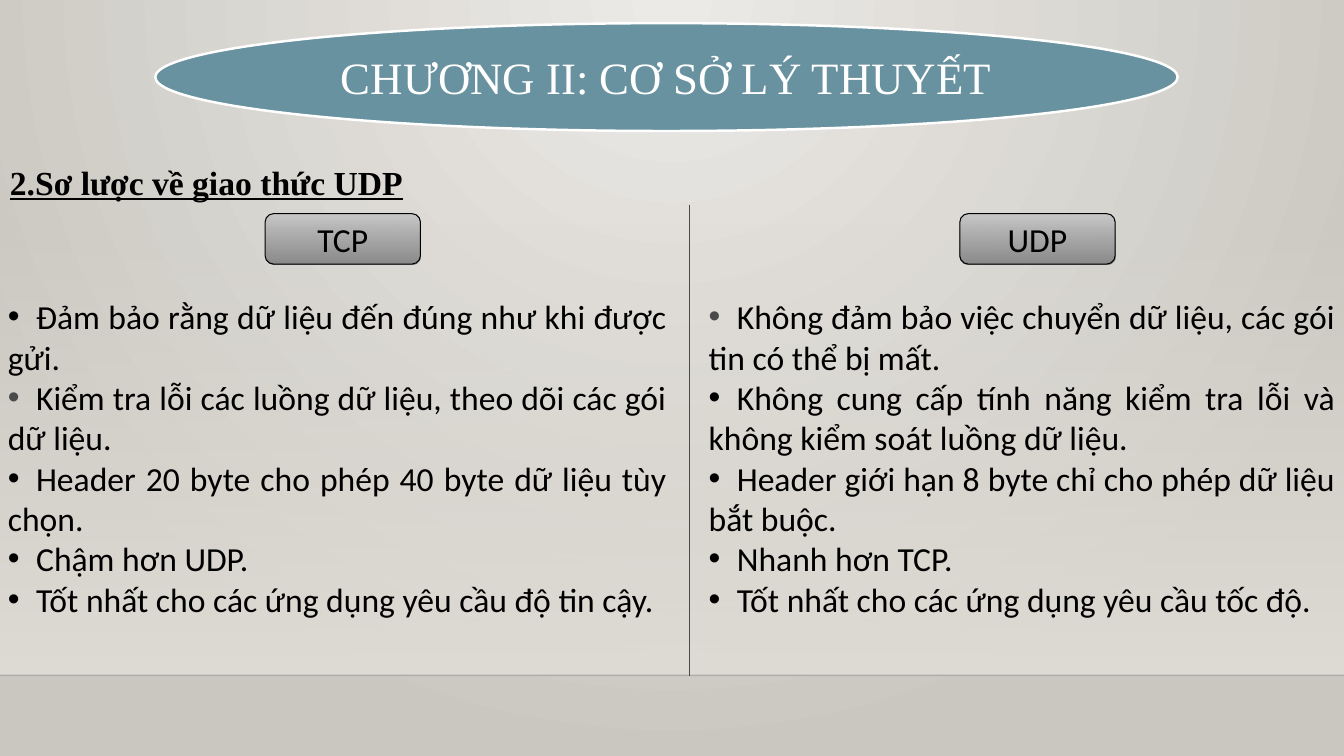
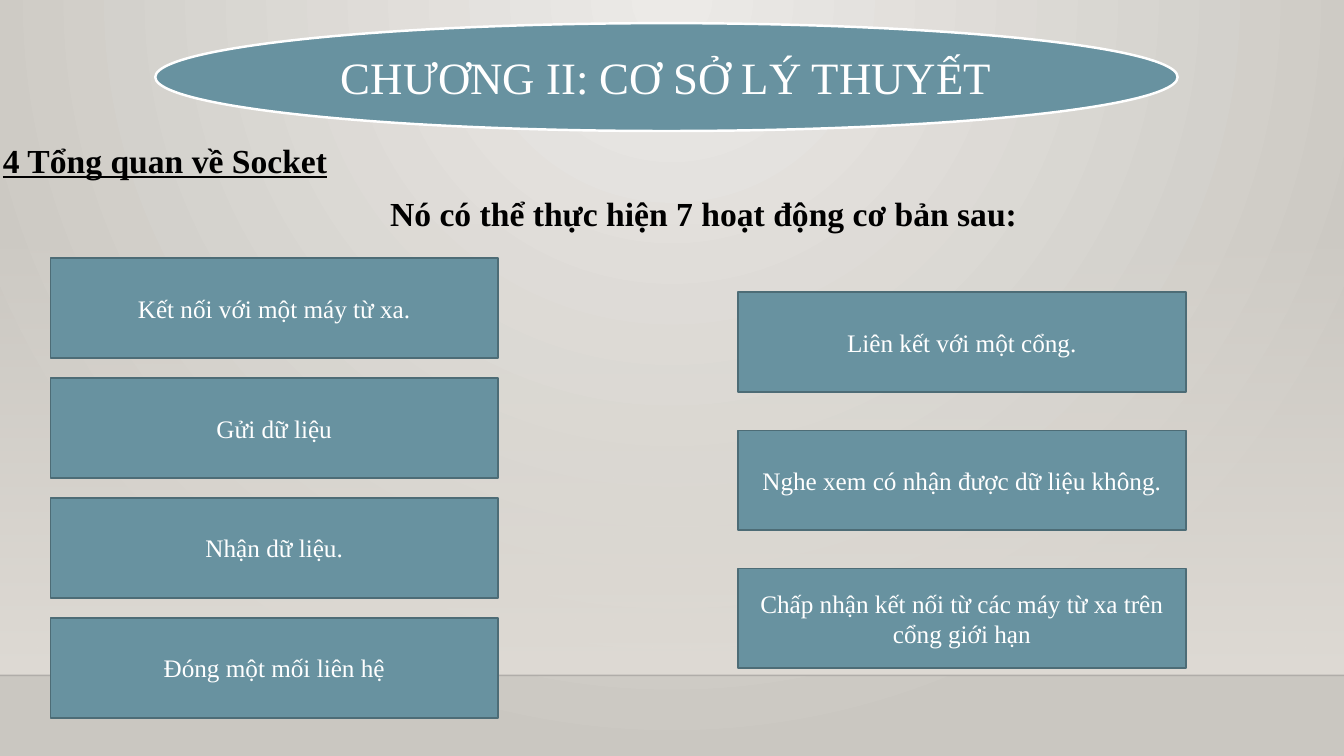
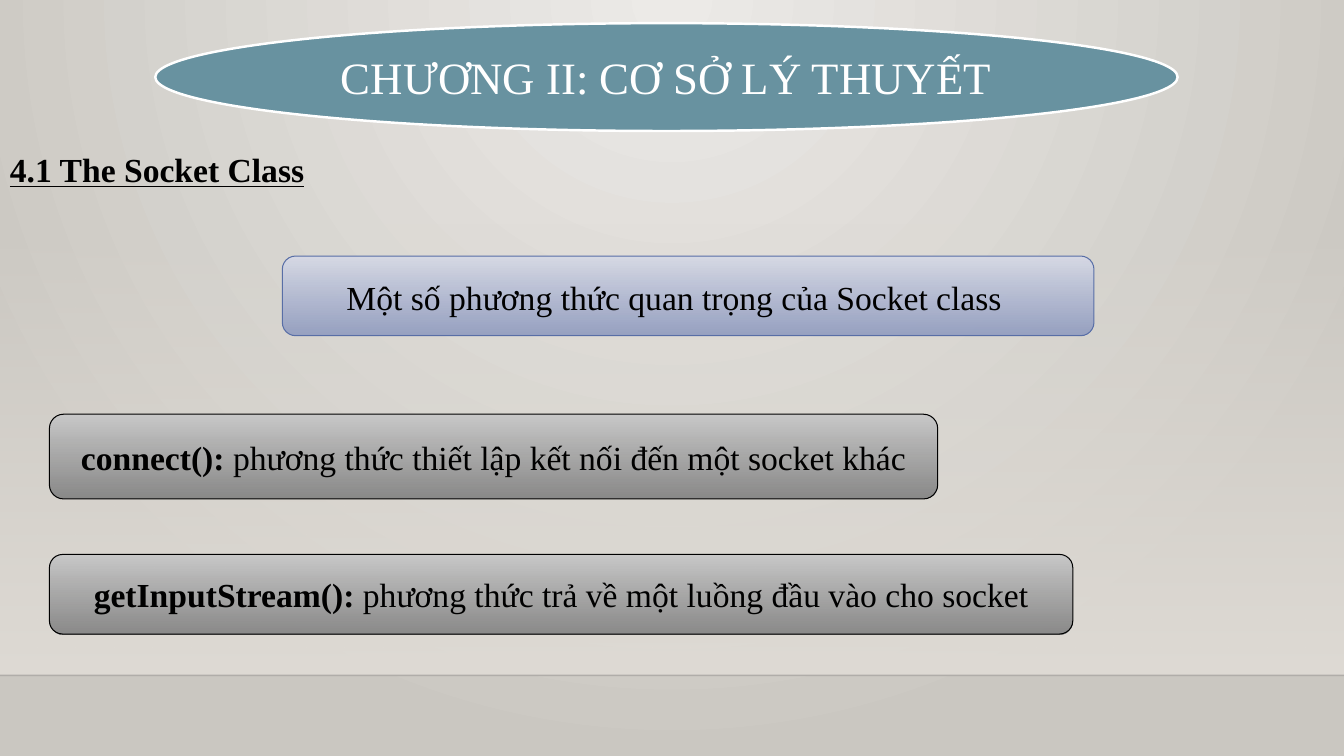
from dataclasses import dataclass

from lxml.etree import SubElement
from pptx import Presentation
from pptx.dml.color import RGBColor
from pptx.enum.shapes import MSO_CONNECTOR, MSO_SHAPE
from pptx.enum.text import MSO_ANCHOR, MSO_AUTO_SIZE, PP_ALIGN
from pptx.oxml.ns import qn
from pptx.util import Inches, Pt


@dataclass(frozen=True)
class Theme:
    serif: str = "Times New Roman"
    sans: str = "Calibri"
    title_size: int = 32
    body_size: int = 24
    box_size: int = 18
    white: str = "FFFFFF"
    black: str = "000000"
    gray: str = "4A4A4A"
    teal: str = "6892A0"
    teal_dark: str = "4D6C76"
    blue_line: str = "586EA6"
    floor_line: str = "000001"
    background: tuple = ("ECEAE7", "CAC7C1")
    haze: tuple = ("DFDBD5", "DFDBD5")
    silver: tuple = ("C8C8C8", "848484")
    blue: tuple = ("D6D9E5", "929DC0")


T = Theme()
WIDTH, HEIGHT = 13.33, 7.5
FLOOR = 6.7

TCP_POINTS = [
    ("Đảm bảo rằng dữ liệu đến đúng như khi được gửi.", T.black),
    ("Kiểm tra lỗi các luồng dữ liệu, theo dõi các gói dữ liệu.", T.gray),
    ("Header 20 byte cho phép 40 byte dữ liệu tùy chọn.", T.black),
    ("Chậm hơn UDP.", T.black),
    ("Tốt nhất cho các ứng dụng yêu cầu độ tin cậy.", T.black),
]
UDP_POINTS = [
    ("Không đảm bảo việc chuyển dữ liệu, các gói tin có thể bị mất.", T.gray),
    ("Không cung cấp tính năng kiểm tra lỗi và không kiểm soát luồng dữ liệu.", T.black),
    ("Header giới hạn 8 byte chỉ cho phép dữ liệu bắt buộc.", T.black),
    ("Nhanh hơn TCP.", T.black),
    ("Tốt nhất cho các ứng dụng yêu cầu tốc độ.", T.black),
]
LEFT_ACTIONS = ["Kết nối với một máy từ xa.", "Gửi dữ liệu", "Nhận dữ liệu.",
                "Đóng một mối liên hệ"]
RIGHT_ACTIONS = ["Liên kết với một cổng.", "Nghe xem có nhận được dữ liệu không.",
                 "Chấp nhận kết nối từ các máy từ xa trên cổng giới hạn"]


# Fills and lines
def rgb(color):
    return RGBColor.from_string(color)


def set_alpha(element, percent):
    SubElement(element, qn("a:alpha"), val=str(percent * 1000))


def set_gradient(fill, colors):
    fill.gradient()
    for stop, color, position in zip(fill.gradient_stops, colors, (0, 1)):
        stop.color.rgb = rgb(color)
        stop.position = position


def fade_stop(sp, index, percent):
    stop = list(sp._element.iter(qn("a:gs")))[index]
    set_alpha(stop[0], percent)


def add_line(s, x1, y1, x2, y2, color, width):
    line = s.shapes.add_connector(MSO_CONNECTOR.STRAIGHT, Inches(x1), Inches(y1),
                                  Inches(x2), Inches(y2))
    line.line.color.rgb = rgb(color)
    line.line.width = Pt(width)
    SubElement(line._element.spPr, qn("a:effectLst"))
    return line


def add_box(s, kind, x, y, w, h, fill, line=None, width=0.75):
    """Add a shape; fill is one colour or a pair for a vertical gradient."""
    sp = s.shapes.add_shape(kind, Inches(x), Inches(y), Inches(w), Inches(h))
    sp.shadow.inherit = False
    if isinstance(fill, tuple):
        set_gradient(sp.fill, fill)
        sp.fill.gradient_angle = 270
    else:
        sp.fill.solid()
        sp.fill.fore_color.rgb = rgb(fill)
    if line:
        sp.line.color.rgb = rgb(line)
        sp.line.width = Pt(width)
    else:
        sp.line.fill.background()
    tf = sp.text_frame
    tf.word_wrap = True
    tf.vertical_anchor = MSO_ANCHOR.MIDDLE
    return sp


# Text
def add_run(p, text, size, color=T.black, font=T.serif, bold=False, underline=False):
    r = p.add_run()
    r.text = text
    r.font.name = font
    r.font.size = Pt(size)
    r.font.bold = bold
    r.font.underline = underline
    r.font.color.rgb = rgb(color)


def center_text(sp, text, size, color, font=T.serif):
    p = sp.text_frame.paragraphs[0]
    p.alignment = PP_ALIGN.CENTER
    add_run(p, text, size, color, font)


def set_indent(p, inches):
    p._p.get_or_add_pPr().set("indent", str(Inches(inches)))


def space_out(p):
    p.line_spacing = 1.07
    p.space_before = Pt(12)
    p.space_after = Pt(8)


def add_textbox(s, x, y, w, h):
    tf = s.shapes.add_textbox(Inches(x), Inches(y), Inches(w), Inches(h)).text_frame
    tf.word_wrap = True
    tf.auto_size = MSO_AUTO_SIZE.SHAPE_TO_FIT_TEXT
    return tf


def add_heading(s, text, x, y, w=6.67, underline=True):
    p = add_textbox(s, x, y, w, 0.5).paragraphs[0]
    add_run(p, text, T.body_size, bold=True, underline=underline)
    return p


def add_bullets(s, points, x, y, w, h):
    tf = add_textbox(s, x, y, w, h)
    for i, (text, bullet_color) in enumerate(points):
        p = tf.paragraphs[0] if i == 0 else tf.add_paragraph()
        p.alignment = PP_ALIGN.JUSTIFY
        set_indent(p, 0)
        pPr = p._p.get_or_add_pPr()
        pPr.set("marL", "0")
        SubElement(SubElement(pPr, qn("a:buClr")), qn("a:srgbClr"), val=bullet_color)
        SubElement(pPr, qn("a:buFont"), typeface="Arial")
        SubElement(pPr, qn("a:buChar"), char="•")
        tabs = SubElement(pPr, qn("a:tabLst"))
        SubElement(tabs, qn("a:tab"), pos=str(Inches(0.28)), algn="l")
        add_run(p, "\t" + text, T.body_size, font=T.sans)


# Repeated slide elements
def set_background(master):
    fill = master.background.fill
    set_gradient(fill, T.background)
    grad = master._element.find(".//" + qn("p:bgPr")).find(qn("a:gradFill"))
    grad.remove(grad.find(qn("a:lin")))
    glow = SubElement(grad, qn("a:path"), {"path": "circle"})
    SubElement(glow, qn("a:fillToRect"), l="43000", t="0", r="43000", b="100000")


def new_slide(prs):
    s = prs.slides.add_slide(prs.slide_layouts[6])
    haze = add_box(s, MSO_SHAPE.RECTANGLE, 0, 2.21, WIDTH, FLOOR - 2.21, T.haze)
    fade_stop(haze, 0, 0)
    floor = add_line(s, 0, FLOOR, WIDTH, FLOOR, T.floor_line, 1)
    set_alpha(next(floor._element.spPr.iter(qn("a:srgbClr"))), 20)
    title = add_box(s, MSO_SHAPE.OVAL, 1.54, 0.23, 10.14, 1.07, T.teal, T.white, 1.75)
    center_text(title, "CHƯƠNG II: CƠ SỞ LÝ THUYẾT", T.title_size, T.white)
    return s


def add_pill(s, x, y, w, h, fill=T.silver, line=T.black):
    sp = add_box(s, MSO_SHAPE.FLOWCHART_ALTERNATE_PROCESS, x, y, w, h, fill, line)
    fade_stop(sp, 1, 92)
    return sp


def add_action_column(s, x, top, pitch, actions):
    for i, text in enumerate(actions):
        sp = add_box(s, MSO_SHAPE.RECTANGLE, x, top + i * pitch, 4.44, 0.99,
                     T.teal, T.teal_dark, 1.25)
        center_text(sp, text, T.box_size, T.white)


def add_method(s, y, w, h, name, description):
    p = add_pill(s, 0.49, y, w, h).text_frame.paragraphs[0]
    p.alignment = PP_ALIGN.CENTER
    add_run(p, name + " ", T.body_size, bold=True)
    add_run(p, description, T.body_size)


# Slides
def comparison_slide(prs):
    s = new_slide(prs)
    space_out(add_heading(s, "2.Sơ lược về giao thức UDP", 0, 1.53))
    add_line(s, 6.84, 2.03, 6.84, 6.71, T.gray, 0.75)
    columns = [("TCP", 2.63, TCP_POINTS, -0.02, 6.73),
               ("UDP", 9.52, UDP_POINTS, 6.93, 6.41)]
    for name, pill_x, points, x, w in columns:
        add_bullets(s, points, x, 2.89, w, 3.33)
        center_text(add_pill(s, pill_x, 2.12, 1.54, 0.5), name,
                    T.body_size, T.black, T.sans)


def actions_slide(prs):
    s = new_slide(prs)
    add_heading(s, "4 Tổng quan về Socket", -0.07, 1.34)
    p = add_heading(s, "Nó có thể thực hiện 7 hoạt động cơ bản sau:", 3.27, 1.84,
                    w=7.72, underline=False)
    set_indent(p, 0.5)
    space_out(p)
    add_action_column(s, 0.5, 2.56, 1.19, LEFT_ACTIONS)
    add_action_column(s, 7.32, 2.9, 1.37, RIGHT_ACTIONS)


def methods_slide(prs):
    s = new_slide(prs)
    add_heading(s, "4.1 The Socket Class", 0, 1.43, w=4.71)
    sp = add_pill(s, 2.8, 2.54, 8.05, 0.79, T.blue, T.blue_line)
    p = sp.text_frame.paragraphs[0]
    p.alignment = PP_ALIGN.LEFT
    set_indent(p, 0.5)
    space_out(p)
    add_run(p, "Một số phương thức quan trọng của Socket class", T.body_size)
    add_method(s, 4.11, 8.81, 0.84, "connect():",
               "phương thức thiết lập kết nối đến một socket khác")
    add_method(s, 5.5, 10.15, 0.79, "getInputStream():",
               "phương thức trả về một luồng đầu vào cho socket")


def main():
    prs = Presentation()
    prs.slide_width, prs.slide_height = Inches(WIDTH), Inches(HEIGHT)
    set_background(prs.slide_master)
    comparison_slide(prs)
    actions_slide(prs)
    methods_slide(prs)
    prs.save("out.pptx")


if __name__ == "__main__":
    main()
